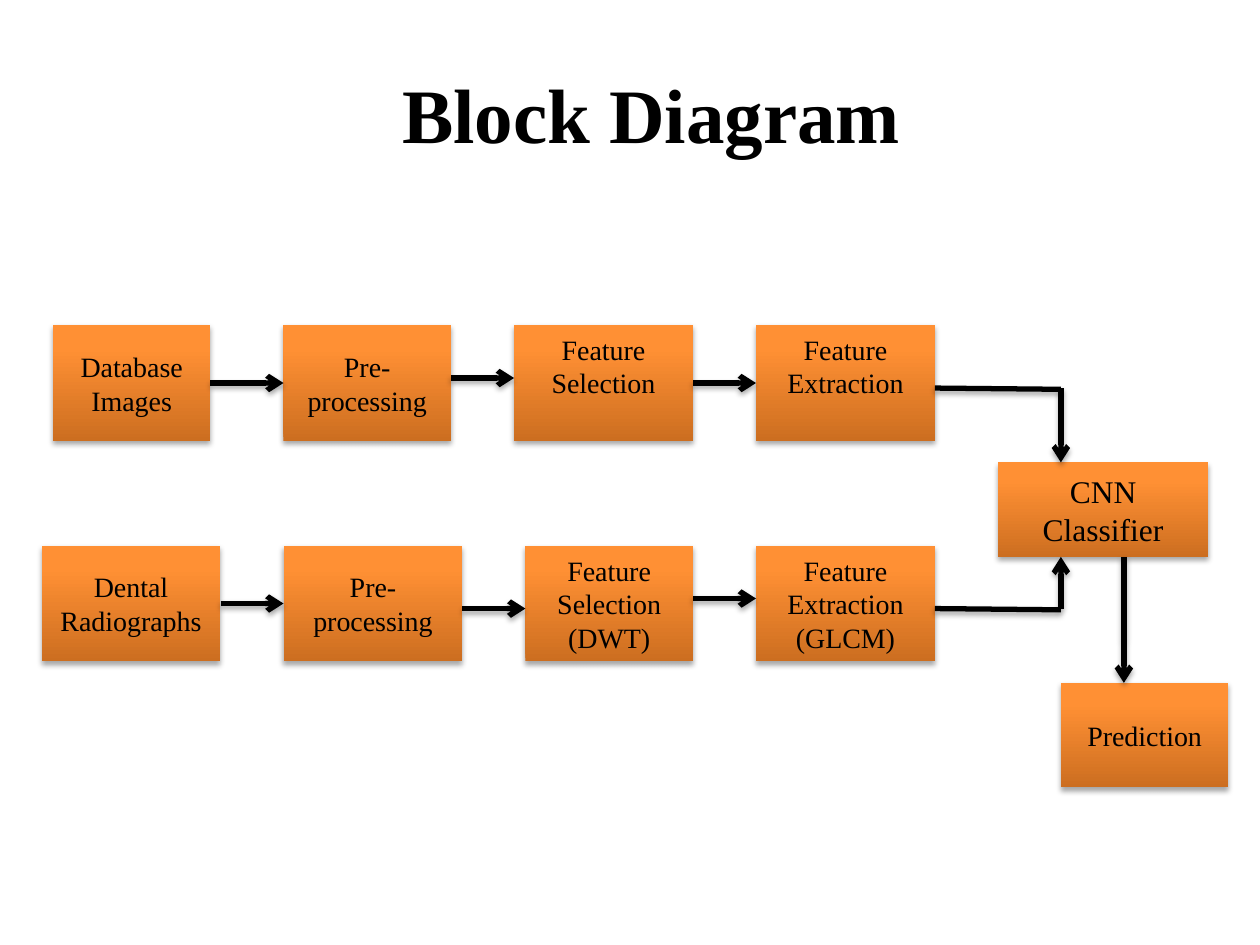
from pptx import Presentation
from pptx.dml.color import RGBColor
from pptx.enum.shapes import MSO_CONNECTOR, MSO_SHAPE
from pptx.enum.text import MSO_ANCHOR, PP_ALIGN
from pptx.oxml import parse_xml
from pptx.oxml.ns import nsdecls
from pptx.util import Inches, Pt

RECTANGLE = MSO_SHAPE.RECTANGLE
STRAIGHT = MSO_CONNECTOR.STRAIGHT
MIDDLE = MSO_ANCHOR.MIDDLE
CENTER = PP_ALIGN.CENTER

COLORS = {"ink": "000000", "bottom": "CC6E20", "upper": "FF9034", "top": "FF9136"}
FONT = "Times New Roman"
GRADIENT = (
    f'<a:gradFill {nsdecls("a")} rotWithShape="1"><a:gsLst>'
    f'<a:gs pos="0"><a:srgbClr val="{COLORS["bottom"]}"/></a:gs>'
    f'<a:gs pos="80000"><a:srgbClr val="{COLORS["upper"]}"/></a:gs>'
    f'<a:gs pos="100000"><a:srgbClr val="{COLORS["top"]}"/></a:gs>'
    '</a:gsLst><a:lin ang="16200000" scaled="0"/></a:gradFill>'
)
SHADOW = (
    f'<a:effectLst {nsdecls("a")}>'
    '<a:outerShdw blurRad="40000" dist="23000" dir="5400000" rotWithShape="0">'
    f'<a:srgbClr val="{COLORS["ink"]}"><a:alpha val="35000"/></a:srgbClr>'
    '</a:outerShdw></a:effectLst>'
)
ARROWHEAD = f'<a:tailEnd {nsdecls("a")} type="arrow"/>'


def write_text(shape, lines, size, bold=False):
    frame = shape.text_frame
    frame.word_wrap = True
    frame.vertical_anchor = MIDDLE
    frame.text = "\n".join(lines)
    for paragraph in frame.paragraphs:
        paragraph.alignment = CENTER
        paragraph.font.name = FONT
        paragraph.font.size = Pt(size)
        paragraph.font.bold = bold
        paragraph.font.color.rgb = RGBColor.from_string(COLORS["ink"])


deck = Presentation()
deck.slide_width, deck.slide_height = Inches(10), Inches(7.5)
page = deck.slides.add_slide(deck.slide_layouts[6])

# Title
title = page.shapes.add_textbox(Inches(0.67), Inches(0.38), Inches(9), Inches(1.03))
write_text(title, ["Block Diagram"], 44, bold=True)

# Blocks: left, top, width, height, lines, text size, bottom inset
TRAINING, TESTING, ROW_HEIGHT = 2.58, 4.33, 0.92
RAISED = 0.32
blocks = [
    (0.42, TRAINING, 1.25, ROW_HEIGHT, ["Database", "Images"], 16, 0.05),
    (2.25, TRAINING, 1.33, ROW_HEIGHT, ["Pre- processing"], 16, 0.05),
    (4.08, TRAINING, 1.42, ROW_HEIGHT, ["Feature Selection"], 16, RAISED),
    (6, TRAINING, 1.42, ROW_HEIGHT, ["Feature Extraction"], 16, RAISED),
    (0.33, TESTING, 1.42, ROW_HEIGHT, ["Dental Radiographs"], 16, 0.05),
    (2.25, TESTING, 1.42, ROW_HEIGHT, ["Pre- processing"], 16, 0.05),
    (4.17, TESTING, 1.33, ROW_HEIGHT, ["Feature", "Selection", "(DWT)"], 16, 0.05),
    (6, TESTING, 1.42, ROW_HEIGHT, ["Feature", "Extraction", "(GLCM)"], 16, 0.05),
    (7.92, 3.67, 1.67, 0.75, ["CNN", "Classifier"], 18, 0.05),
    (8.42, 5.42, 1.33, 0.83, ["Prediction"], 16, 0.05),
]
for left, top, width, height, lines, size, inset in blocks:
    block = page.shapes.add_shape(
        RECTANGLE, Inches(left), Inches(top), Inches(width), Inches(height))
    block.line.fill.background()
    properties = block._element.spPr
    properties.insert(2, parse_xml(GRADIENT))
    properties.append(parse_xml(SHADOW))
    block.text_frame.margin_bottom = Inches(inset)
    write_text(block, lines, size)

# Links: start x, start y, end x, end y, arrowhead
links = [
    (1.67, 3.04, 2.25, 3.04, True),
    (3.58, 3, 4.08, 3, True),
    (5.5, 3.04, 6, 3.04, True),
    (1.75, 4.79, 2.25, 4.79, True),
    (3.67, 4.83, 4.17, 4.83, True),
    (5.5, 4.75, 6, 4.75, True),
    (7.42, 3.08, 8.42, 3.09, False),
    (8.42, 3.08, 8.42, 3.67, True),
    (7.42, 4.83, 8.42, 4.84, False),
    (8.42, 4.83, 8.42, 4.42, True),
    (8.92, 4.42, 8.92, 5.08, False),
    (8.92, 5.08, 8.92, 5.42, True),
]
for start_x, start_y, end_x, end_y, has_arrow in links:
    link = page.shapes.add_connector(
        STRAIGHT, Inches(start_x), Inches(start_y), Inches(end_x), Inches(end_y))
    link.line.color.rgb = RGBColor.from_string(COLORS["ink"])
    link.line.width = Pt(3)
    if has_arrow:
        link.line._get_or_add_ln().append(parse_xml(ARROWHEAD))
    link._element.spPr.append(parse_xml(SHADOW))

deck.save("out.pptx")
